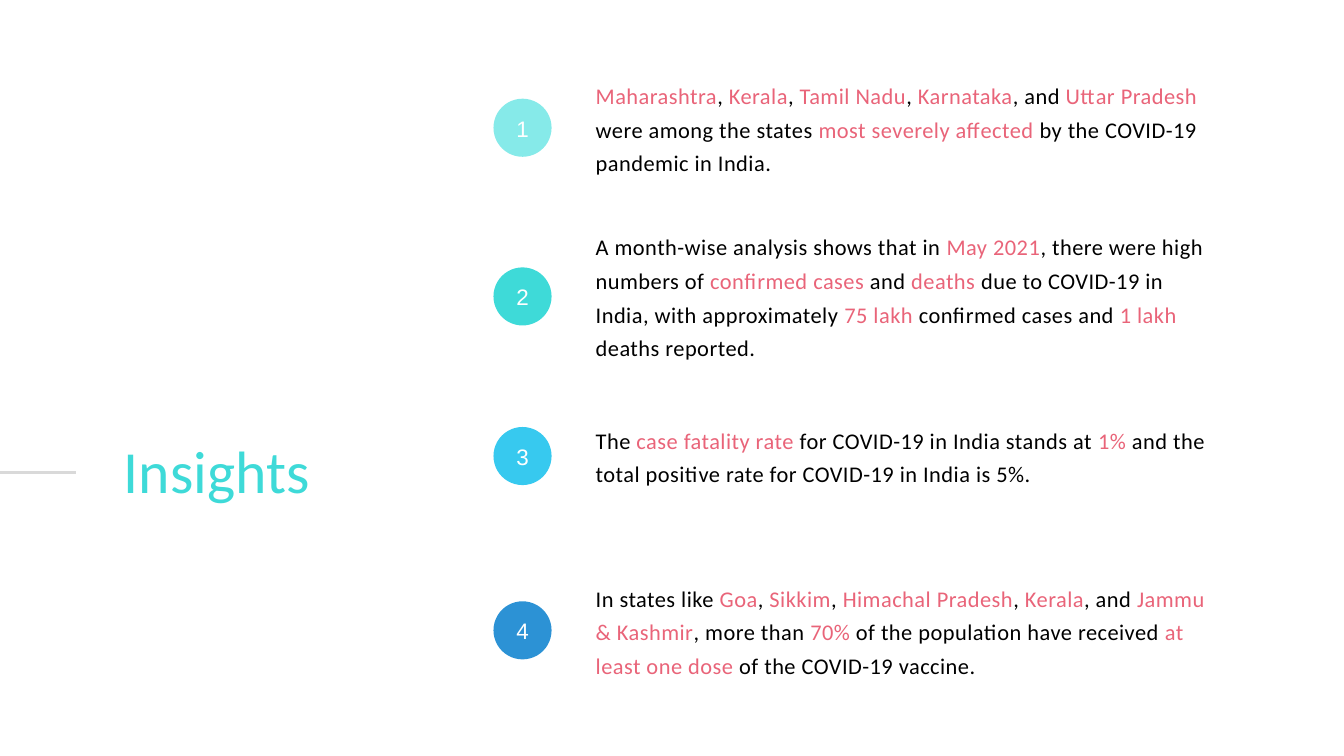
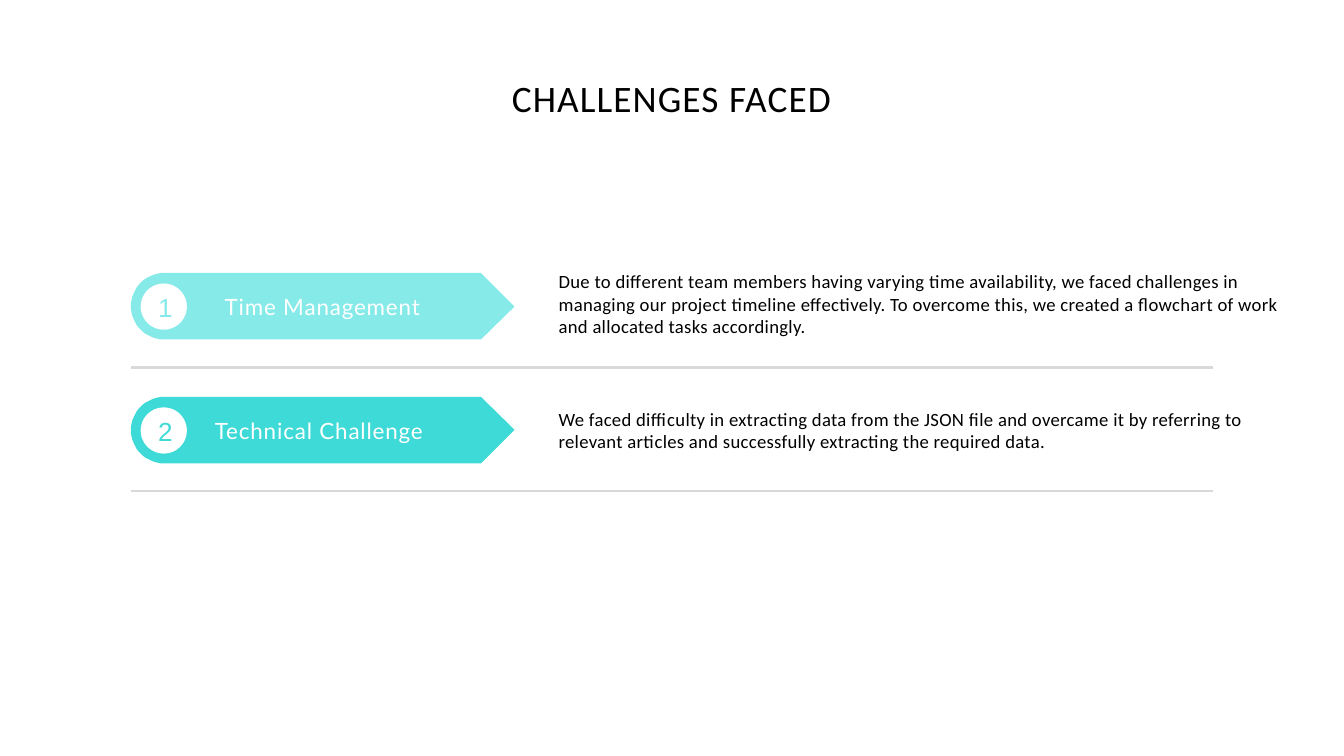
"""Build the insights and challenges slides."""
from dataclasses import dataclass
from math import cos, pi, sin

from pptx import Presentation
from pptx.dml.color import RGBColor
from pptx.enum.shapes import MSO_CONNECTOR, MSO_SHAPE
from pptx.enum.text import MSO_ANCHOR, MSO_AUTO_SIZE, PP_ALIGN
from pptx.oxml.ns import qn
from pptx.util import Emu, Pt
from lxml import etree

OVAL, LINE = MSO_SHAPE.OVAL, MSO_CONNECTOR.STRAIGHT
TOP, MIDDLE = MSO_ANCHOR.TOP, MSO_ANCHOR.MIDDLE
LEFT, CENTER = PP_ALIGN.LEFT, PP_ALIGN.CENTER
NO_FIT = MSO_AUTO_SIZE.NONE
SCALE = 9525


@dataclass(frozen=True)
class Style:
    """Hold the type of one kind of text."""
    size: int
    line: float
    color: str
    font: str = "Calibri"
    gap: int = 0
    align: PP_ALIGN = LEFT


@dataclass(frozen=True)
class Theme:
    """Hold the colours and type styles that the slides share."""
    white: str = "FFFFFF"
    rule: str = "D9D9D9"
    accent: str = "E96479"
    steps: tuple = ("86EAE9", "3EDAD8", "37C9EF", "2C92D5")
    side: Style = Style(64, 78.7, "3EDAD8")
    head: Style = Style(40, 52.4, "000000", gap=120, align=CENTER)
    point: Style = Style(24, 36, "000000", gap=50)
    note: Style = Style(20, 24, "000000", gap=30)
    label: Style = Style(24, 30.9, "FFFFFF", "Lato", 90)
    badge: Style = Style(24, 33.6, "FFFFFF", "Arial", align=CENTER)
    digit: Style = Style(28, 39.2, "FFFFFF", "Arial", align=CENTER)


THEME = Theme()

POINTS = (
    (108, 142, 141, "*Maharashtra*, *Kerala*, *Tamil Nadu*, *Karnataka*, and "
     "*Uttar Pradesh* were among the states *most severely affected* by the "
     "COVID-19 pandemic in India."),
    (324, 190, 382, "A month-wise analysis shows that in *May 2021*, there "
     "were high numbers of *confirmed cases* and *deaths* due to COVID-19 in "
     "India, with approximately *75 lakh* confirmed cases and *1 lakh* deaths "
     "reported."),
    (600, 94, 610, "The *case fatality rate* for COVID-19 in India stands at "
     "*1%* and the total positive rate for COVID-19 in India is 5%."),
    (826, 142, 859, "In states like *Goa*, *Sikkim*, *Himachal Pradesh*, "
     "*Kerala*, and *Jammu & Kashmir*, more than *70%* of the population have "
     "received *at least one dose* of the COVID-19 vaccine."),
)

TASKS = (
    ("Time Management", 99, CENTER, -4, 97,
     "Due to different team members having varying time availability, we "
     "faced challenges in managing our project timeline effectively. To "
     "overcome this, we created a flowchart of work and allocated tasks "
     "accordingly."),
    ("Technical Challenge", 120, LEFT, 15, 64,
     "We faced difficulty in extracting data from the JSON file and overcame "
     "it by referring to relevant articles and successfully extracting the "
     "required data."),
)


def px(*vals):
    """Turn px lengths into EMU."""
    return [Emu(val * SCALE) for val in vals]


def rgb(code):
    """Turn a hex code into a colour."""
    return RGBColor.from_string(code)


def assign(item, vals):
    """Set attributes from a dict."""
    for name, val in vals.items():
        setattr(item, name, val)


def write(shape, text, style, anchor=TOP, pad=(0, 0), **change):
    """Write text in one style, with starred parts in the accent colour."""
    frame = shape.text_frame
    left, base = px(*pad)
    assign(frame, dict(word_wrap=True, auto_size=NO_FIT, margin_left=left,
                       margin_top=0, margin_right=0, margin_bottom=base,
                       vertical_anchor=anchor))
    para = frame.paragraphs[0]
    assign(para, dict(alignment=change.get("align", style.align),
                      line_spacing=Pt(style.line)))
    main = change.get("color", style.color)
    for num, part in enumerate(text.split("*")):
        if part:
            run = para.add_run()
            run.text = part
            assign(run.font, dict(size=Pt(style.size), name=style.font))
            run.font.color.rgb = rgb(THEME.accent if num % 2 else main)
            if style.gap:
                run.font._element.set("spc", str(style.gap))


def add_text(slide, box, text, style, **change):
    """Add a text box."""
    write(slide.shapes.add_textbox(*px(*box)), text, style, **change)


def add_title(slide, box, text, style):
    """Place and format the title."""
    title = slide.shapes.title
    assign(title, dict(zip(("left", "top", "width", "height"), px(*box))))
    write(title, text, style)


def paint(shape, color):
    """Give a shape a plain fill."""
    shape.shadow.inherit = False
    shape.fill.solid()
    shape.fill.fore_color.rgb = rgb(color)
    shape.line.fill.background()


def add_disc(slide, box, fill, text, style, pad, **change):
    """Add a numbered disc."""
    disc = slide.shapes.add_shape(OVAL, *px(*box))
    paint(disc, fill)
    write(disc, text, style, MIDDLE, pad, **change)


def add_rule(slide, left, top, width):
    """Add a level grey line."""
    rule = slide.shapes.add_connector(LINE, *px(left, top, left + width, top))
    rule.line.width = Pt(2.25)
    rule.line.color.rgb = rgb(THEME.rule)
    etree.SubElement(rule._element.spPr, qn("a:effectLst"))


def add_pill(slide, box, color):
    """Add a bar with a round left end and a pointed right end."""
    left, top, width, height = box
    half = height / 2
    turns = [pi / 2 + pi * step / 32 for step in range(33)]
    arc = [(left + half + half * cos(turn), top + half - half * sin(turn))
           for turn in turns]
    neck = left + width - 48
    tip = [(neck, top + height), (left + width, top + half)]
    path = slide.shapes.build_freeform(neck, top, SCALE)
    path.add_line_segments(arc + tip, close=True)
    paint(path.convert_to_shape(), color)


def add_point(slide, box, disc_top, num, text):
    """Add one insight with its disc on the left."""
    left = box[0]
    add_text(slide, box, text, THEME.point)
    add_disc(slide, (left - 146, disc_top, 83, 83), THEME.steps[num],
             str(num + 1), THEME.badge, (0, 5))


def add_task(slide, box, num, task):
    """Add one challenge: pill, disc, label, note and rule."""
    left, top, width, height = box
    name, indent, align, shift, tall, note = task
    color = THEME.steps[num]
    add_pill(slide, (left, top, 548, 95), color)
    add_disc(slide, (left + 14, top + 15, 66, 66), THEME.white,
             str(num + 1), THEME.digit, (5, 5), color=color)
    add_text(slide, (left + indent, top + 26, 349, 40), name, THEME.label,
             align=align)
    add_text(slide, (left + 611, top + shift, 1038, tall), note, THEME.note)
    add_rule(slide, left, top + height, width)


def insights(slide):
    """Fill the insights slide."""
    add_title(slide, (177, 617, 637, 104), "Insights", THEME.side)
    add_rule(slide, 0, 675, 108)
    for num, (top, height, disc_top, text) in enumerate(POINTS):
        add_point(slide, (851, top, 876, height), disc_top, num, text)


def hurdles(slide):
    """Fill the challenges slide."""
    add_title(slide, (374, 101, 1171, 68), "CHALLENGES FACED", THEME.head)
    for num, task in enumerate(TASKS):
        add_task(slide, (187, 390 + 177 * num, 1546, 135), num, task)


def main():
    """Build and save the deck."""
    deck = Presentation()
    deck.slide_width, deck.slide_height = px(1920, 1080)
    for fill in (insights, hurdles):
        fill(deck.slides.add_slide(deck.slide_layouts[5]))
    deck.save("out.pptx")


if __name__ == "__main__":
    main()
